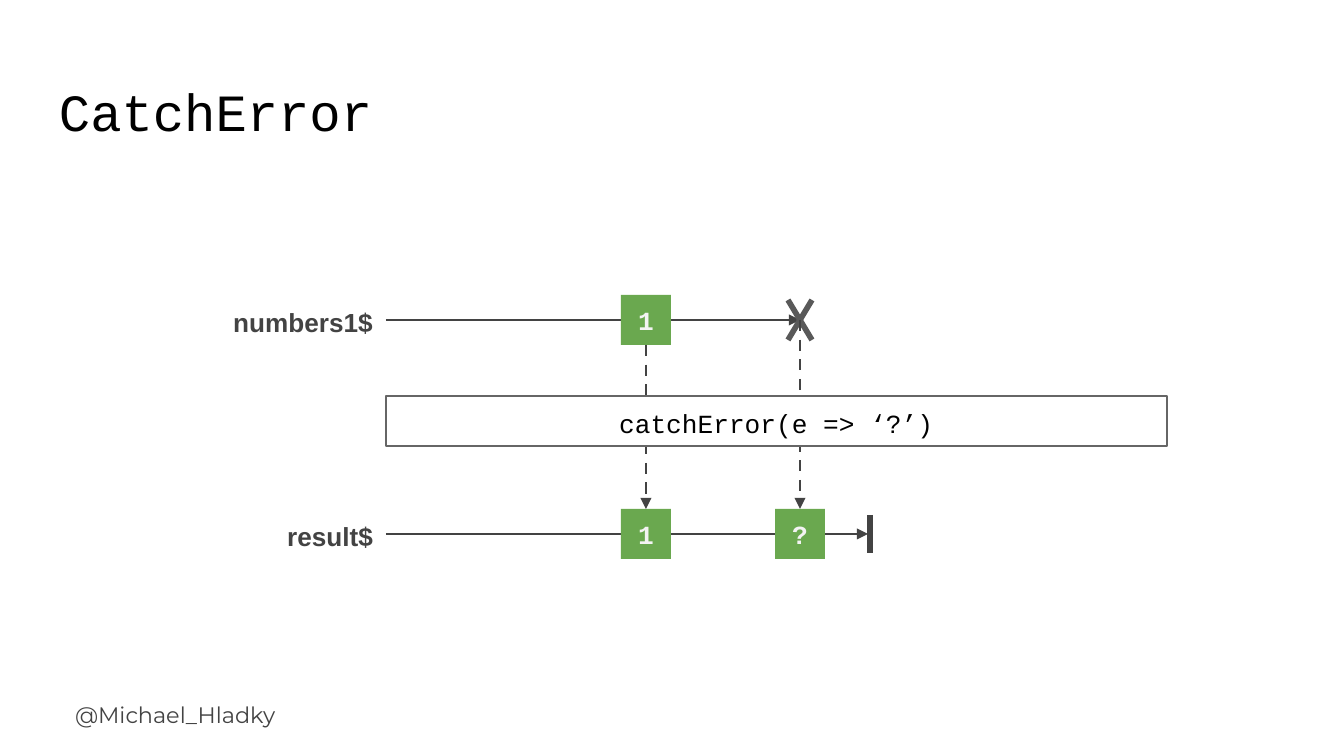
from lxml import etree
from pptx import Presentation
from pptx.dml.color import RGBColor
from pptx.enum.dml import MSO_LINE
from pptx.enum.shapes import MSO_CONNECTOR, MSO_SHAPE
from pptx.enum.text import MSO_ANCHOR, PP_ALIGN
from pptx.oxml.ns import qn
from pptx.util import Emu, Pt

STRAIGHT = MSO_CONNECTOR.STRAIGHT
RECTANGLE = MSO_SHAPE.RECTANGLE
DASH = MSO_LINE.DASH
TOP, MIDDLE = MSO_ANCHOR.TOP, MSO_ANCHOR.MIDDLE
LEFT, CENTER, RIGHT = PP_ALIGN.LEFT, PP_ALIGN.CENTER, PP_ALIGN.RIGHT
SITE_TOP, SITE_BOTTOM, SITE_RIGHT = 0, 2, 3

PX = 914400 / 134.4
WIDTH, HEIGHT = 1344, 756
INSET = 13
COLORS = {
    "white": "FFFFFF", "black": "000000", "dark": "434343", "cross": "595959",
    "border": "666666", "green": "6AA84F", "light": "F3F3F3",
}

# Marble diagram grid
START_X, VALUE_X, ERROR_X, END_X = 386, 646, 800, 870
SOURCE_Y, OPERATOR_Y, RESULT_Y = 320, 421, 534
MARBLE = 50
HALF = MARBLE // 2


def px(value):
    return Emu(round(value * PX))


def color(name):
    return RGBColor.from_string(COLORS[name])


def write(shape, text, *, font="Courier New", size=14, ink="black", bold=False,
          align=CENTER, anchor=MIDDLE, inset=INSET, spacing=1.0):
    frame = shape.text_frame
    frame.word_wrap = True
    frame.vertical_anchor = anchor
    frame.margin_left = frame.margin_right = px(inset)
    frame.margin_top = frame.margin_bottom = px(inset)
    paragraph = frame.paragraphs[0]
    paragraph.alignment = align
    paragraph.line_spacing = spacing
    run = paragraph.add_run()
    run.text = text
    run.font.name = font
    run.font.size = Pt(size)
    run.font.bold = bold
    run.font.color.rgb = color(ink)


class Diagram:
    def __init__(self, slide):
        self.slide = slide
        self.shapes = slide.shapes

    def text(self, left, top, width, height, text, **style):
        box = self.shapes.add_textbox(px(left), px(top), px(width), px(height))
        write(box, text, **style)
        return box

    def label(self, y, text):
        return self.text(64, y - 34, START_X - 64, 68, text, font="Arial",
                         ink="dark", bold=True, align=RIGHT, spacing=1.15)

    def rectangle(self, left, y, width, text, fill, border=None, **style):
        shape = self.shapes.add_shape(RECTANGLE, px(left), px(y - HALF),
                                      px(width), px(MARBLE))
        shape.shadow.inherit = False
        shape.fill.solid()
        shape.fill.fore_color.rgb = color(fill)
        if border:
            shape.line.color.rgb = color(border)
            shape.line.width = Pt(0.75)
        else:
            shape.line.fill.background()
        write(shape, text, **style)
        return shape

    def marble(self, x, y, text):
        return self.rectangle(x - HALF, y, MARBLE, text, "green",
                              ink="light", bold=True, inset=0)

    def line(self, x1, y1, x2, y2, *, stroke="dark", width=1.5, dashed=False,
             arrow=False, begin=None, end=None):
        connector = self.shapes.add_connector(STRAIGHT, px(x1), px(y1), px(x2), px(y2))
        connector.line.color.rgb = color(stroke)
        connector.line.width = Pt(width)
        if dashed:
            connector.line.dash_style = DASH
        properties = connector._element.spPr
        if arrow:
            etree.SubElement(properties.get_or_add_ln(), qn("a:tailEnd"), type="triangle")
        etree.SubElement(properties, qn("a:effectLst"))
        if begin:
            connector.begin_connect(*begin)
        if end:
            connector.end_connect(*end)


def main():
    presentation = Presentation()
    presentation.slide_width, presentation.slide_height = px(WIDTH), px(HEIGHT)
    diagram = Diagram(presentation.slides.add_slide(presentation.slide_layouts[6]))

    # Footer and title
    diagram.text(62, 688, 301, 60, "@Michael_Hladky", font="Montserrat", size=12,
                 ink="dark", align=LEFT, anchor=TOP)
    diagram.text(46, 66, 1163, 85, "CatchError", size=28, align=LEFT, anchor=TOP)

    # Labels and their timelines
    for y, name, end_x in ((SOURCE_Y, "numbers1$", ERROR_X),
                           (RESULT_Y, "result$", END_X - 2)):
        label = diagram.label(y, name)
        diagram.line(START_X, y, end_x, y, arrow=True, begin=(label, SITE_RIGHT))

    # Error cross and completion bar
    for side in (-12, 12):
        diagram.line(ERROR_X - side, SOURCE_Y - 20, ERROR_X + side, SOURCE_Y + 20,
                     stroke="cross", width=3)
    diagram.line(END_X, RESULT_Y - 19, END_X, RESULT_Y + 19, width=3)

    # Marbles and the dashed arrows between the timelines
    source = diagram.marble(VALUE_X, SOURCE_Y, "1")
    result = diagram.marble(VALUE_X, RESULT_Y, "1")
    fallback = diagram.marble(ERROR_X, RESULT_Y, "?")
    diagram.line(VALUE_X, SOURCE_Y + HALF, VALUE_X, RESULT_Y - HALF, dashed=True,
                 arrow=True, begin=(source, SITE_BOTTOM), end=(result, SITE_TOP))
    diagram.line(ERROR_X, SOURCE_Y, ERROR_X, OPERATOR_Y, dashed=True, arrow=True)
    diagram.line(ERROR_X, OPERATOR_Y, ERROR_X, RESULT_Y - HALF, dashed=True,
                 arrow=True, end=(fallback, SITE_TOP))

    # Operator covers the dashed arrows
    diagram.rectangle(START_X, OPERATOR_Y, 781, "catchError(e => ‘?’)", "white",
                      border="border", spacing=1.15)

    presentation.save("out.pptx")


if __name__ == "__main__":
    main()
